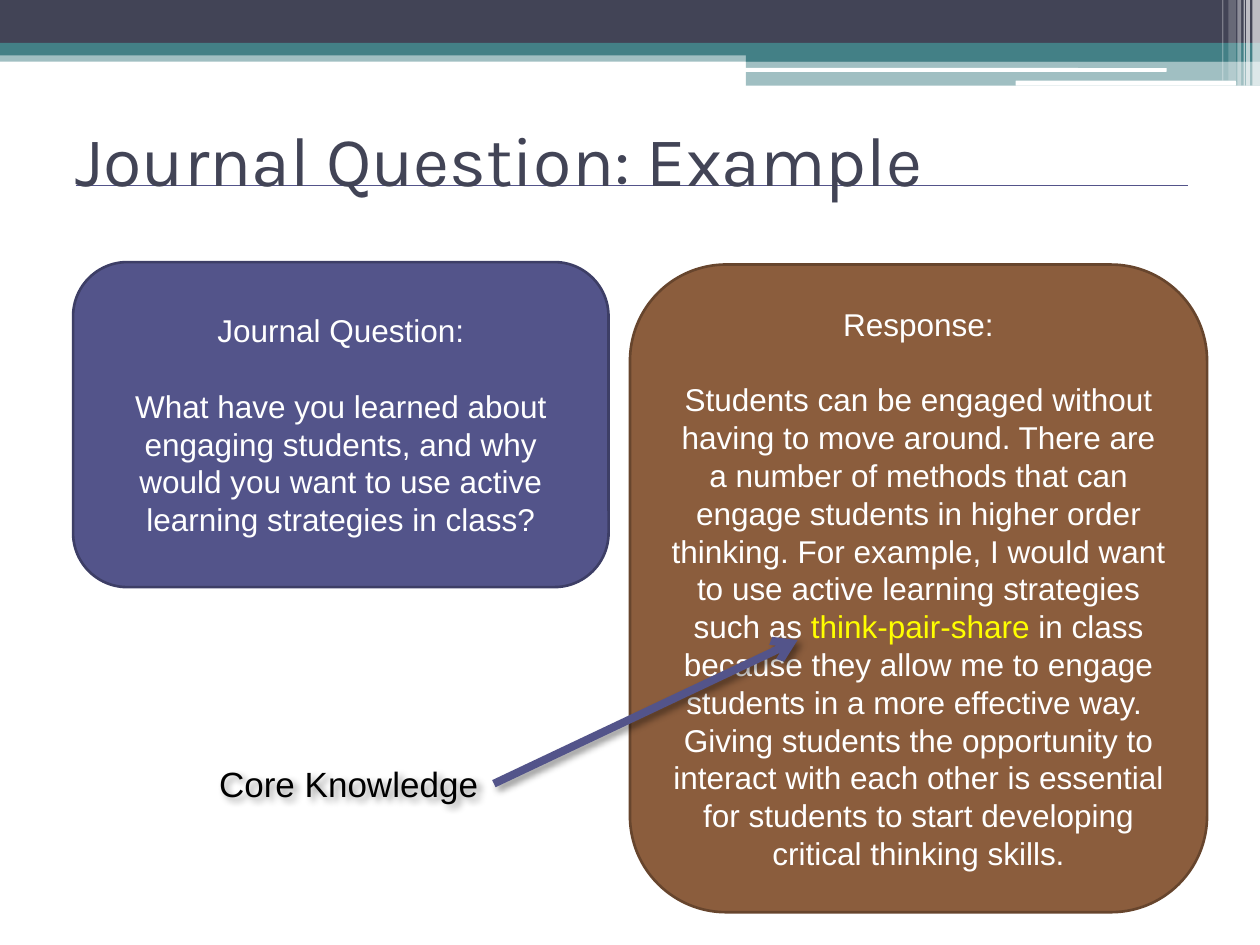
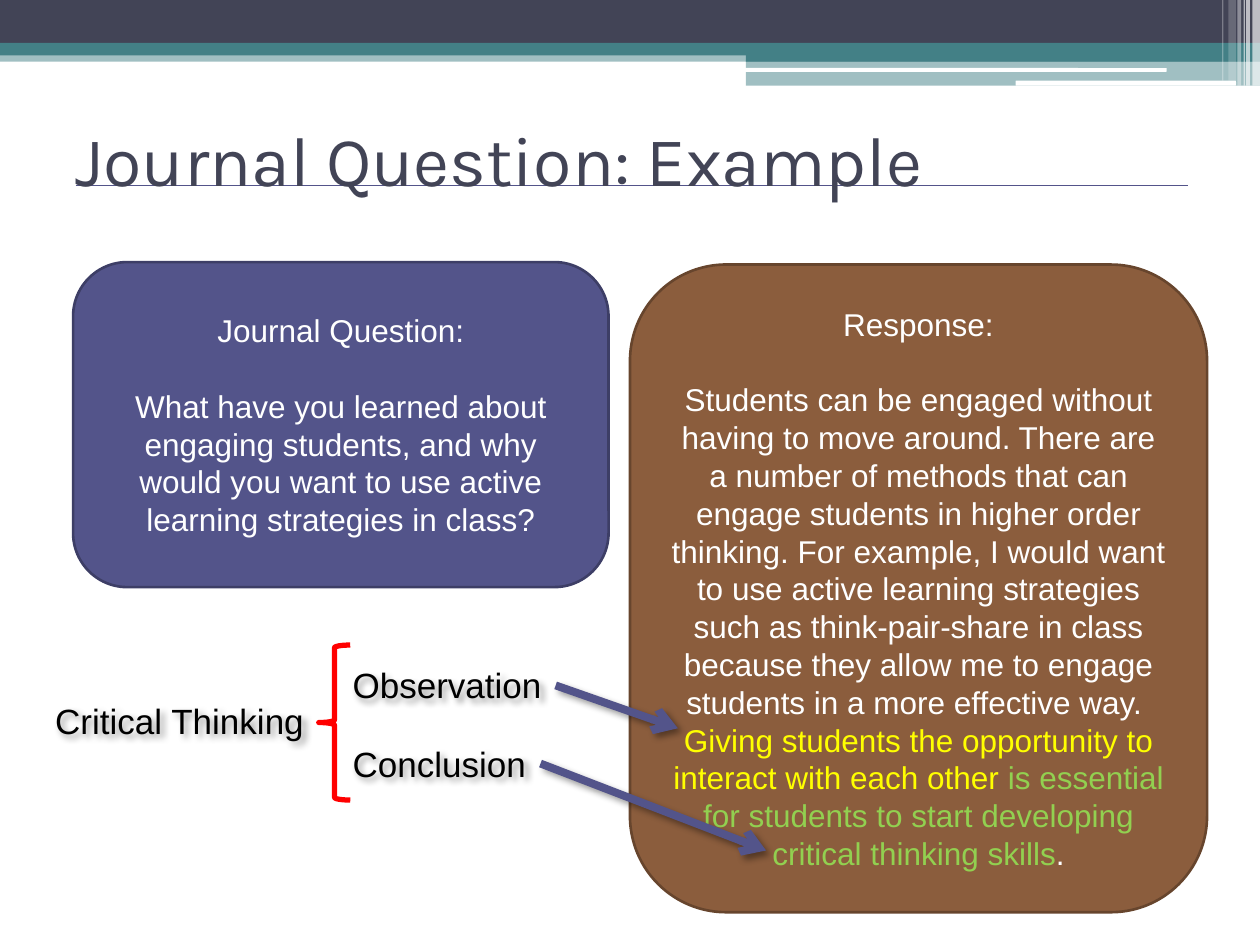
from lxml.etree import SubElement
from pptx import Presentation
from pptx.dml.color import RGBColor
from pptx.enum.shapes import MSO_CONNECTOR, MSO_SHAPE
from pptx.enum.text import MSO_ANCHOR, PP_ALIGN
from pptx.oxml.ns import qn
from pptx.util import Inches, Pt

# Grid: 100 columns by 75 rows of square cells
COLS, ROWS = 100, 75
CELL = Inches(0.1)

NAVY, TEAL, WHITE, BLACK = "424456", "438086", "FFFFFF", "000000"
INDIGO, INDIGO_EDGE = "53548A", "3D3E66"
BROWN, BROWN_EDGE = "8B5D3D", "67452D"
YELLOW, GREEN, RED = "FFFF00", "92D050", "FF0000"
BODY_FONT, TITLE_FONT = "Arial", "Karla"
LINE_HEIGHT = Pt(21.6)

# Header bands: left, top, width, height, colour, opacity in percent
BANDS = [
    (0, 4, COLS, 0.9, TEAL, 50),
    (0, 0, COLS, 3.4, NAVY, 100),
    (0, 3.4, COLS, 1, TEAL, 100),
    (59.2, 3.9, 40.8, 1, TEAL, 100),
    (59.2, 4.8, 40.8, 2, TEAL, 50),
]
PILLS = [(59.1, 5.4, 33.5, 0.3), (80.6, 6.4, 17.5, 0.4)]
# Vertical stripes at the right edge: left, width, height, opacity
STRIPES = [
    (99.4, 0.6, 6.8, 65), (98.9, 0.3, 6.8, 65), (98.7, 0.1, 6.8, 60),
    (98.2, 0.3, 6.8, 40), (97.5, 0.6, 6.4, 20), (97, 0.1, 6.4, 30),
]

QUESTION = ("What have you learned about engaging students, and why would you "
            "want to use active learning strategies in class?")
OPENING = ("Students can be engaged without having to move around. There are a "
           "number of methods that can engage students in higher order thinking. "
           "For example, I would want to use active learning strategies such as ")
STRATEGY = "think-pair-share "
REASON = "in class because they allow me to engage students in a more effective way.  "
OBSERVATION = "Giving students the opportunity to interact with each other "
CONCLUSION = "is essential for students to start developing critical thinking skills"


def rgb(color):
    return RGBColor.from_string(color)


def cells(*counts):
    return [round(n * CELL) for n in counts]


def set_font(p, name, size, color):
    p.font.name, p.font.size = name, Pt(size)
    p.font.color.rgb = rgb(color)


def add_block(s, kind, box, fill=None, opacity=100, edge=None, weight=1.5):
    sp = s.shapes.add_shape(kind, *cells(*box))
    sp.shadow.inherit = False
    if fill:
        sp.fill.solid()
        sp.fill.fore_color.rgb = rgb(fill)
        if opacity < 100:
            clr = sp.fill._xPr.find(qn("a:solidFill"))[0]
            SubElement(clr, qn("a:alpha"), val=str(opacity * 1000))
    else:
        sp.fill.background()
    if edge:
        sp.line.color.rgb = rgb(edge)
        sp.line.width = Pt(weight)
    else:
        sp.line.fill.background()
    return sp


def add_line(s, start, end, weight):
    line = s.shapes.add_connector(MSO_CONNECTOR.STRAIGHT, *cells(*start, *end))
    line.line.color.rgb = rgb(INDIGO)
    line.line.width = Pt(weight)
    return line, SubElement(line._element.spPr, qn("a:effectLst"))


def add_shadow(effects):
    shadow = SubElement(effects, qn("a:outerShdw"), blurRad=str(Pt(4)),
                        dist=str(Pt(3)), dir=str(45 * 60000), rotWithShape="0")
    clr = SubElement(shadow, qn("a:srgbClr"), val=BLACK)
    SubElement(clr, qn("a:alpha"), val="40000")


def add_arrow(s, start, end):
    arrow, effects = add_line(s, start, end, 4.5)
    SubElement(arrow.line._get_or_add_ln(), qn("a:tailEnd"), type="arrow")
    add_shadow(effects)


def add_text(s, box, text, name, size, color, wrap):
    sp = s.shapes.add_textbox(*cells(*box))
    tf = sp.text_frame
    tf.word_wrap = wrap
    tf.vertical_anchor = MSO_ANCHOR.MIDDLE if wrap else MSO_ANCHOR.TOP
    p = tf.paragraphs[0]
    p.text = text
    set_font(p, name, size, color)
    return sp


def add_label(s, left, top, width, text):
    sp = add_text(s, (left, top, width, 4.4), text, BODY_FONT, 20, BLACK, False)
    add_shadow(SubElement(sp._element.spPr, qn("a:effectLst")))


def add_card(s, box, fill, edge, heading, parts):
    """Rounded card with a heading above one paragraph of (text, colour) parts."""
    sp = add_block(s, MSO_SHAPE.ROUNDED_RECTANGLE, box, fill, edge=edge)
    tf = sp.text_frame
    tf.word_wrap = True
    tf.vertical_anchor = MSO_ANCHOR.MIDDLE
    head, body = tf.paragraphs[0], tf.add_paragraph()
    head.text = heading
    head.space_after = LINE_HEIGHT
    for text, color in parts:
        r = body.add_run()
        r.text = text
        if color != WHITE:
            r.font.color.rgb = rgb(color)
    for p in (head, body):
        p.alignment = PP_ALIGN.CENTER
        p.line_spacing = LINE_HEIGHT
        set_font(p, BODY_FONT, 18, WHITE)


def add_header(s):
    for *box, color, opacity in BANDS:
        add_block(s, MSO_SHAPE.RECTANGLE, box, color, opacity)
    for box in PILLS:
        add_block(s, MSO_SHAPE.ROUNDED_RECTANGLE, box, WHITE)
    for left, width, height, opacity in STRIPES:
        add_block(s, MSO_SHAPE.RECTANGLE, (left, 0, width, height), WHITE, opacity)
    add_line(s, (6, 14.7), (94.3, 14.7), 0.75)


def add_example(prs, response):
    """Slide with header, title, and the question and response cards."""
    s = prs.slides.add_slide(prs.slide_layouts[6])
    add_header(s)
    add_text(s, (5, 6.7, 90, 11.7), "Journal Question: Example",
             TITLE_FONT, 40, NAVY, True)
    add_card(s, (50, 21, 45.8, 51.4), BROWN, BROWN_EDGE, "Response:", response)
    add_card(s, (5.8, 20.8, 42.5, 25.8), INDIGO, INDIGO_EDGE,
             "Journal Question:", [(QUESTION, WHITE)])
    return s


def main():
    prs = Presentation()
    prs.slide_width, prs.slide_height = COLS * CELL, ROWS * CELL

    # Core knowledge
    s = add_example(prs, [(OPENING, WHITE), (STRATEGY, YELLOW),
                          (REASON + OBSERVATION + CONCLUSION + ".", WHITE)])
    add_arrow(s, (39.2, 62.2), (63.3, 50.8))
    add_label(s, 16.4, 60, 22.8, "Core Knowledge")

    # Critical thinking
    s = add_example(prs, [(OPENING + STRATEGY + REASON, WHITE),
                          (OBSERVATION, YELLOW), (CONCLUSION, GREEN), (".", WHITE)])
    for text, top, width, tip in (("Observation", 52.2, 17.1, (53.8, 57.8)),
                                  ("Conclusion", 58.4, 15.9, (60.8, 67.5))):
        add_label(s, 27, top, width, text)
        add_arrow(s, (27 + width, top + 2.2), tip)
    add_label(s, 3.4, 55, 22, "Critical Thinking")
    add_block(s, MSO_SHAPE.LEFT_BRACE, (25.3, 51.2, 2.5, 12.3), edge=RED, weight=3)

    prs.save("out.pptx")


if __name__ == "__main__":
    main()
